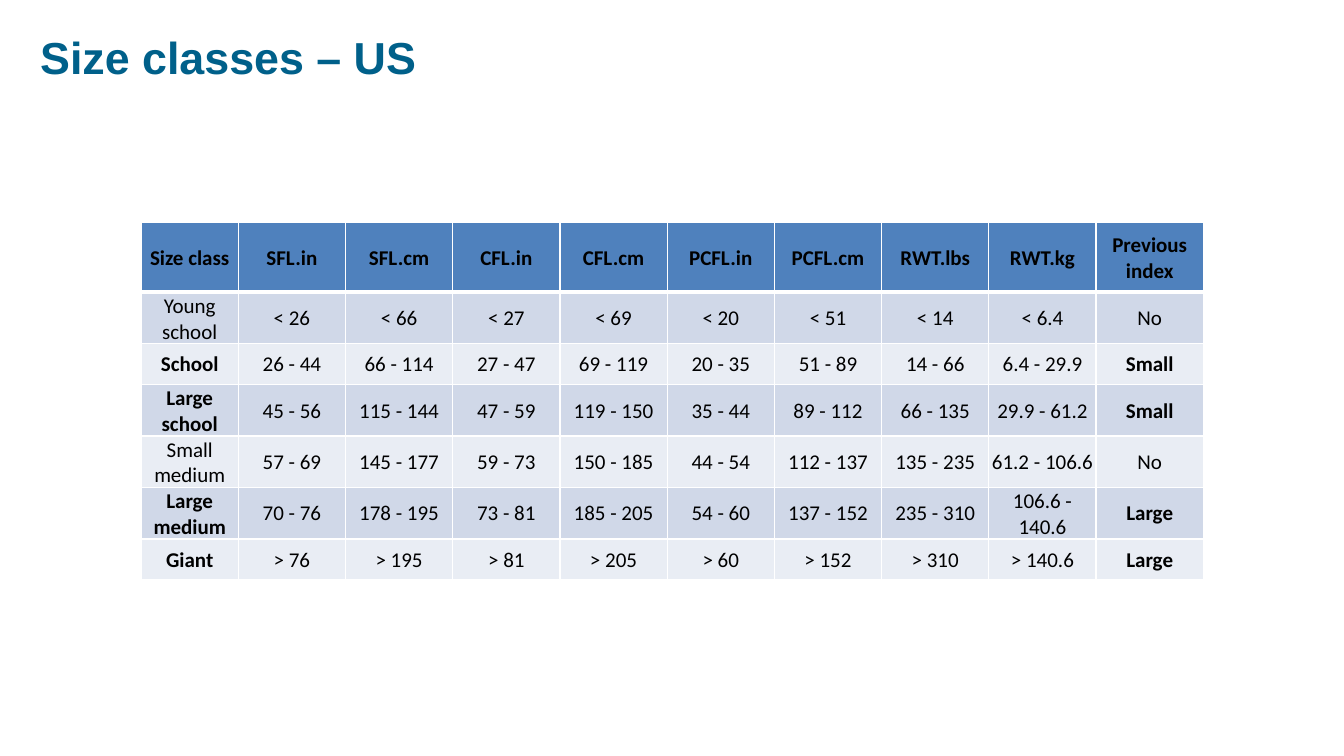
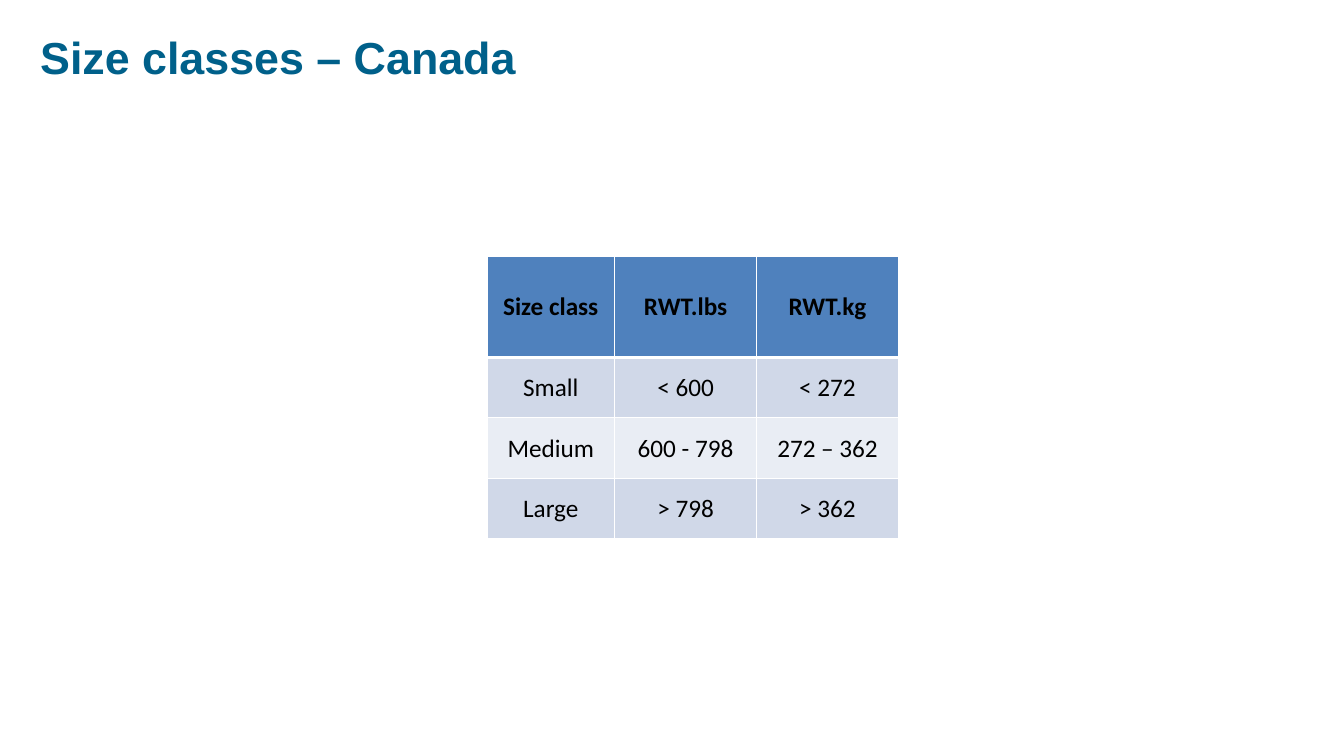
from lxml import etree
from pptx import Presentation
from pptx.dml.color import RGBColor
from pptx.enum import text
from pptx.oxml import ns
from pptx.util import Pt

COLORS = {
    "title": "00608A",
    "header": "4F81BD",
    "odd": "D0D8E8",
    "even": "E9EDF4",
    "border": "FFFFFF",
    "text": "000000",
}
TITLE_BOX = (21.6, 15.1, 766.8, 50.4)
TITLE_FONT = {"name": "Arial", "size": Pt(32), "bold": True}
CELL_FORMAT = {
    "margin_left": Pt(0.72),
    "margin_right": Pt(0.72),
    "margin_top": Pt(0.72),
    "margin_bottom": 0,
    "vertical_anchor": text.MSO_ANCHOR.MIDDLE,
}

SLIDES = [
    {
        "title": "Size classes – US",
        "position": (100.8, 159.1),
        "columns": (69.4, 76.6),
        "heights": (49.7, 29.2),
        "size": 15,
        "rows": [
            ("Size class", "SFL.in", "SFL.cm", "CFL.in", "CFL.cm",
             "PCFL.in", "PCFL.cm", "RWT.lbs", "RWT.kg", "Previous index"),
            ("Young school", "< 26", "< 66", "< 27", "< 69",
             "< 20", "< 51", "< 14", "< 6.4", "No"),
            ("School", "26 - 44", "66 - 114", "27 - 47", "69 - 119",
             "20 - 35", "51 - 89", "14 - 66", "6.4 - 29.9", "Small"),
            ("Large school", "45 - 56", "115 - 144", "47 - 59", "119 - 150",
             "35 - 44", "89 - 112", "66 - 135", "29.9 - 61.2", "Small"),
            ("Small medium", "57 - 69", "145 - 177", "59 - 73", "150 - 185",
             "44 - 54", "112 - 137", "135 - 235", "61.2 - 106.6", "No"),
            ("Large medium", "70 - 76", "178 - 195", "73 - 81", "185 - 205",
             "54 - 60", "137 - 152", "235 - 310", "106.6 - 140.6", "Large"),
            ("Giant", "> 76", "> 195", "> 81", "> 205",
             "> 60", "> 152", "> 310", "> 140.6", "Large"),
        ],
    },
    {
        "title": "Size classes – Canada",
        "position": (347.8, 182.9),
        "columns": (91.2, 101.4),
        "heights": (72.4, 43.2),
        "size": 18,
        "rows": [
            ("Size class", "RWT.lbs", "RWT.kg"),
            ("Small", "< 600", "< 272"),
            ("Medium", "600 - 798", "272 – 362"),
            ("Large", "> 798", "> 362"),
        ],
    },
]


def apply_format(target, values):
    for name, value in values.items():
        setattr(target, name, value)


def write_text(paragraph, content, color, font):
    run = paragraph.add_run()
    run.text = content
    apply_format(run.font, font)
    run.font.color.rgb = RGBColor.from_string(COLORS[color])


def add_title(slide, content):
    shape = slide.shapes.add_textbox(*map(Pt, TITLE_BOX))
    frame = shape.text_frame
    apply_format(frame, {"word_wrap": True, "vertical_anchor": text.MSO_ANCHOR.MIDDLE})
    write_text(frame.paragraphs[0], content, "title", TITLE_FONT)


def set_borders(cell, row_index):
    properties = cell._tc.get_or_add_tcPr()
    widths = {
        "L": 1,
        "R": 1,
        "T": 3 if row_index == 1 else 1,
        "B": 3 if row_index == 0 else 1,
    }
    for side, width in widths.items():
        line = etree.SubElement(properties, ns.qn(f"a:ln{side}"), w=str(Pt(width)))
        fill = etree.SubElement(line, ns.qn("a:solidFill"))
        etree.SubElement(fill, ns.qn("a:srgbClr"), val=COLORS["border"])


def is_bold(row, row_index, column_index, indexed):
    if row_index == 0:
        return True
    return indexed and row[-1] != "No" and column_index in (0, len(row) - 1)


def add_size_table(slide, data):
    rows = data["rows"]
    first_width, other_width = data["columns"]
    header_height, body_height = data["heights"]
    widths = [first_width] + [other_width] * (len(rows[0]) - 1)
    heights = [header_height] + [body_height] * (len(rows) - 1)
    extent = (*data["position"], sum(widths), sum(heights))
    table = slide.shapes.add_table(len(rows), len(widths), *map(Pt, extent)).table
    for column, width in zip(table.columns, widths):
        column.width = Pt(width)
    for table_row, height in zip(table.rows, heights):
        table_row.height = Pt(height)

    indexed = rows[0][-1] == "Previous index"
    for row_index, row in enumerate(rows):
        band = "header" if row_index == 0 else ("even", "odd")[row_index % 2]
        for column_index, content in enumerate(row):
            cell = table.cell(row_index, column_index)
            apply_format(cell, CELL_FORMAT)
            set_borders(cell, row_index)
            cell.fill.solid()
            cell.fill.fore_color.rgb = RGBColor.from_string(COLORS[band])
            paragraph = cell.text_frame.paragraphs[0]
            paragraph.alignment = text.PP_ALIGN.CENTER
            write_text(paragraph, content, "text", {
                "name": "Calibri",
                "size": Pt(data["size"]),
                "bold": is_bold(row, row_index, column_index, indexed),
            })


def main():
    presentation = Presentation()
    apply_format(presentation, {"slide_width": Pt(960), "slide_height": Pt(540)})
    for data in SLIDES:
        slide = presentation.slides.add_slide(presentation.slide_layouts[6])
        add_title(slide, data["title"])
        add_size_table(slide, data)
    presentation.save("out.pptx")


if __name__ == "__main__":
    main()
